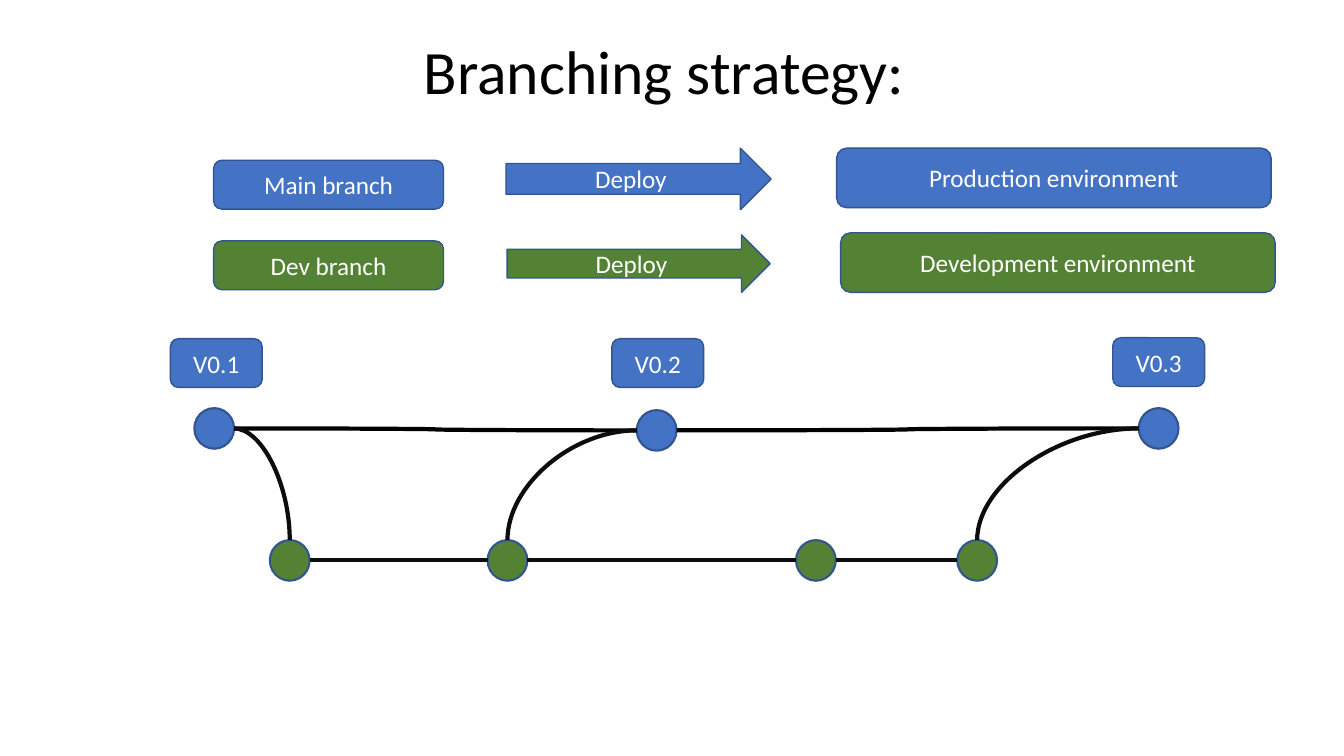
from lxml.etree import SubElement
from pptx import Presentation
from pptx.dml.color import RGBColor
from pptx.enum.shapes import MSO_CONNECTOR, MSO_SHAPE
from pptx.enum.text import MSO_ANCHOR, PP_ALIGN
from pptx.oxml.ns import qn
from pptx.util import Inches, Pt

BLUE, GREEN, OUTLINE = "4472C4", "548235", "325491"
WHITE, BLACK, NEAR_BLACK = "FFFFFF", "000000", "0D0D0D"
FONT = "Calibri"

# Every length is a percentage of the slide's width or height.
TITLE = ("Branching strategy:", (24.45, 3.73, 49.95, 11.2))
DEPLOYMENTS = [  # colour, then (shape, text, (left, top, width, height))
    (BLUE, [
        (MSO_SHAPE.ROUNDED_RECTANGLE, "Main branch", (15.9, 21.2, 17.1, 6.45)),
        (MSO_SHAPE.RIGHT_ARROW, "Deploy", (37.65, 19.6, 19.73, 8.13)),
        (MSO_SHAPE.ROUNDED_RECTANGLE, "Production environment", (62.25, 19.6, 32.33, 7.87)),
    ]),
    (GREEN, [
        (MSO_SHAPE.ROUNDED_RECTANGLE, "Dev branch", (15.9, 31.87, 17.1, 6.45)),
        (MSO_SHAPE.RIGHT_ARROW, "Deploy", (37.73, 31.07, 19.58, 7.6)),
        (MSO_SHAPE.ROUNDED_RECTANGLE, "Development environment", (62.55, 30.8, 32.33, 7.87)),
    ]),
]
VERSIONS = [  # text, centre, top
    ("V0.1", 16.09, 44.8),
    ("V0.2", 48.94, 44.8),
    ("V0.3", 86.21, 44.67),
]
TAG_WIDTH, TAG_HEIGHT = 6.83, 6.45
MAIN_COMMITS = [(15.94, 56.67), (48.86, 56.93), (86.21, 56.67)]  # centres
DEV_COMMITS = [(x, 74.13) for x in (21.56, 37.76, 60.71, 72.71)]
COMMIT_WIDTH, COMMIT_HEIGHT = 2.96, 5.37
BRANCHES = [(0, 0, 1), (1, 1, -1), (2, 3, -1)]  # main commit, dev commit, side

presentation = Presentation()
presentation.slide_width, presentation.slide_height = Inches(13.33), Inches(7.5)
slide = presentation.slides.add_slide(presentation.slide_layouts[6])


def across(share):
    return round(presentation.slide_width * share / 100)


def down(share):
    return round(presentation.slide_height * share / 100)


def place(box):
    left, top, width, height = box
    return across(left), down(top), across(width), down(height)


def colour(hex_string):
    return RGBColor.from_string(hex_string)


def write(shape, text, size, text_colour):
    paragraph = shape.text_frame.paragraphs[0]
    paragraph.alignment = PP_ALIGN.CENTER
    run = paragraph.add_run()
    run.text = text
    run.font.name, run.font.size = FONT, Pt(size)
    run.font.color.rgb = colour(text_colour)


def add_filled(kind, box, fill, line_width, text=None):
    shape = slide.shapes.add_shape(kind, *place(box))
    shape.shadow.inherit = False
    shape.fill.solid()
    shape.fill.fore_color.rgb = colour(fill)
    shape.line.color.rgb = colour(OUTLINE)
    shape.line.width = Pt(line_width)
    if text:
        shape.text_frame.word_wrap = True
        shape.text_frame.vertical_anchor = MSO_ANCHOR.MIDDLE
        write(shape, text, 18, WHITE)


def add_link(kind, start, end, line_colour):
    connector = slide.shapes.add_connector(
        kind, across(start[0]), down(start[1]), across(end[0]), down(end[1]))
    connector.line.color.rgb = colour(line_colour)
    connector.line.width = Pt(3)
    properties = connector._element.spPr
    SubElement(properties, qn("a:effectLst"))
    return properties


def commit_side(centre, side):
    """Return the left (-1) or right (1) edge point of a commit."""
    return centre[0] + side * COMMIT_WIDTH / 2, centre[1]


title_text, title_box = TITLE
title = slide.shapes.add_textbox(*place(title_box))
title.text_frame.word_wrap = True
write(title, title_text, 44, BLACK)

for fill, commits in ((BLUE, MAIN_COMMITS), (GREEN, DEV_COMMITS)):
    for x, y in commits:
        box = (x - COMMIT_WIDTH / 2, y - COMMIT_HEIGHT / 2, COMMIT_WIDTH, COMMIT_HEIGHT)
        add_filled(MSO_SHAPE.OVAL, box, fill, 1.5)

for kind, commits, line_colour in (
    (MSO_CONNECTOR.CURVE, MAIN_COMMITS, BLACK),
    (MSO_CONNECTOR.STRAIGHT, DEV_COMMITS, NEAR_BLACK),
):
    for first, second in zip(commits, commits[1:]):
        add_link(kind, commit_side(first, 1), commit_side(second, -1), line_colour)

for main_index, dev_index, side in BRANCHES:
    dev_x, dev_y = DEV_COMMITS[dev_index]
    properties = add_link(
        MSO_CONNECTOR.CURVE, commit_side(MAIN_COMMITS[main_index], side),
        (dev_x, dev_y - COMMIT_HEIGHT / 2), NEAR_BLACK)
    properties.find(qn("a:prstGeom")).set("prst", "curvedConnector2")

for text, centre, top in VERSIONS:
    box = (centre - TAG_WIDTH / 2, top, TAG_WIDTH, TAG_HEIGHT)
    add_filled(MSO_SHAPE.ROUNDED_RECTANGLE, box, BLUE, 1, text)

for fill, parts in DEPLOYMENTS:
    for kind, text, box in parts:
        add_filled(kind, box, fill, 1, text)

presentation.save("out.pptx")
